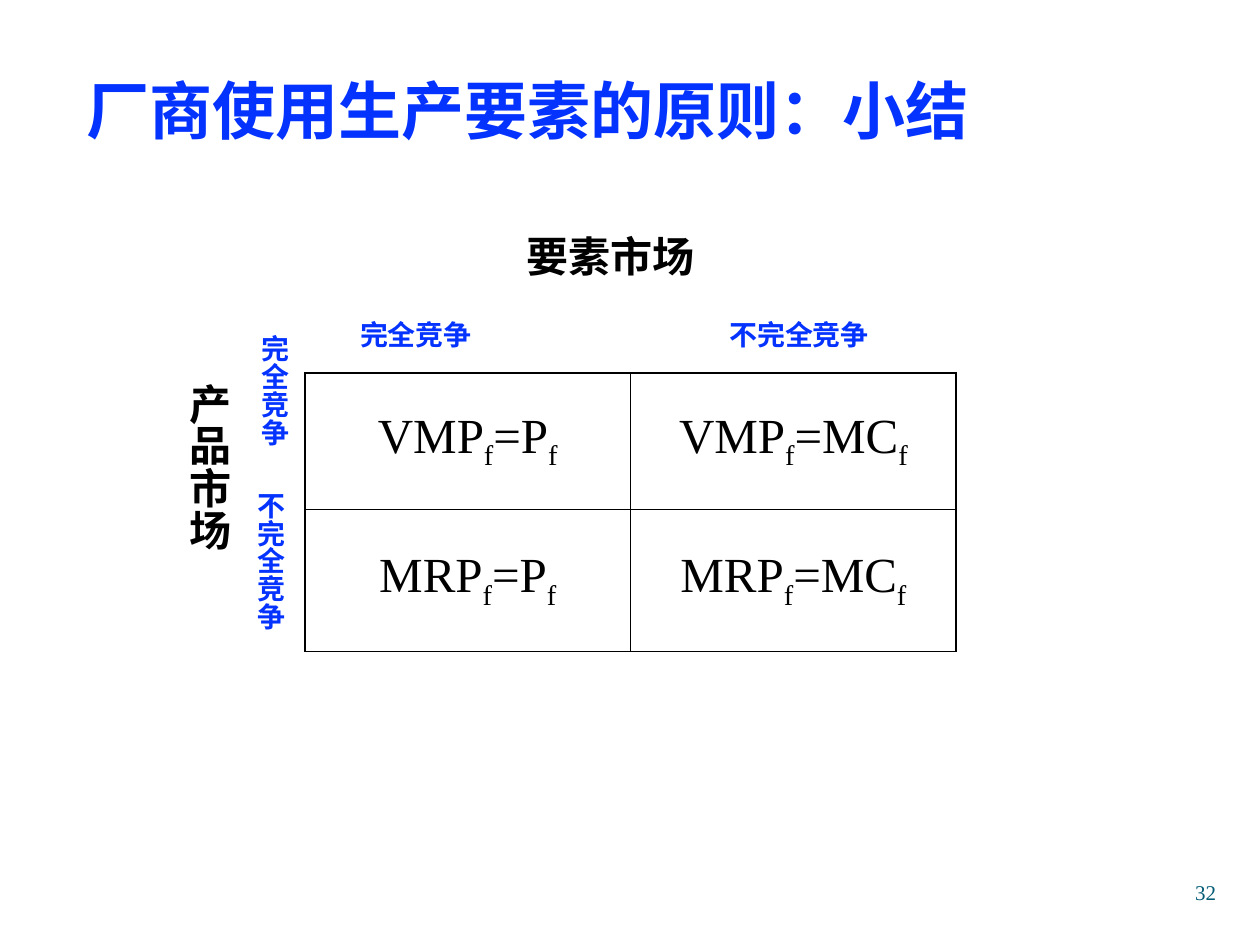
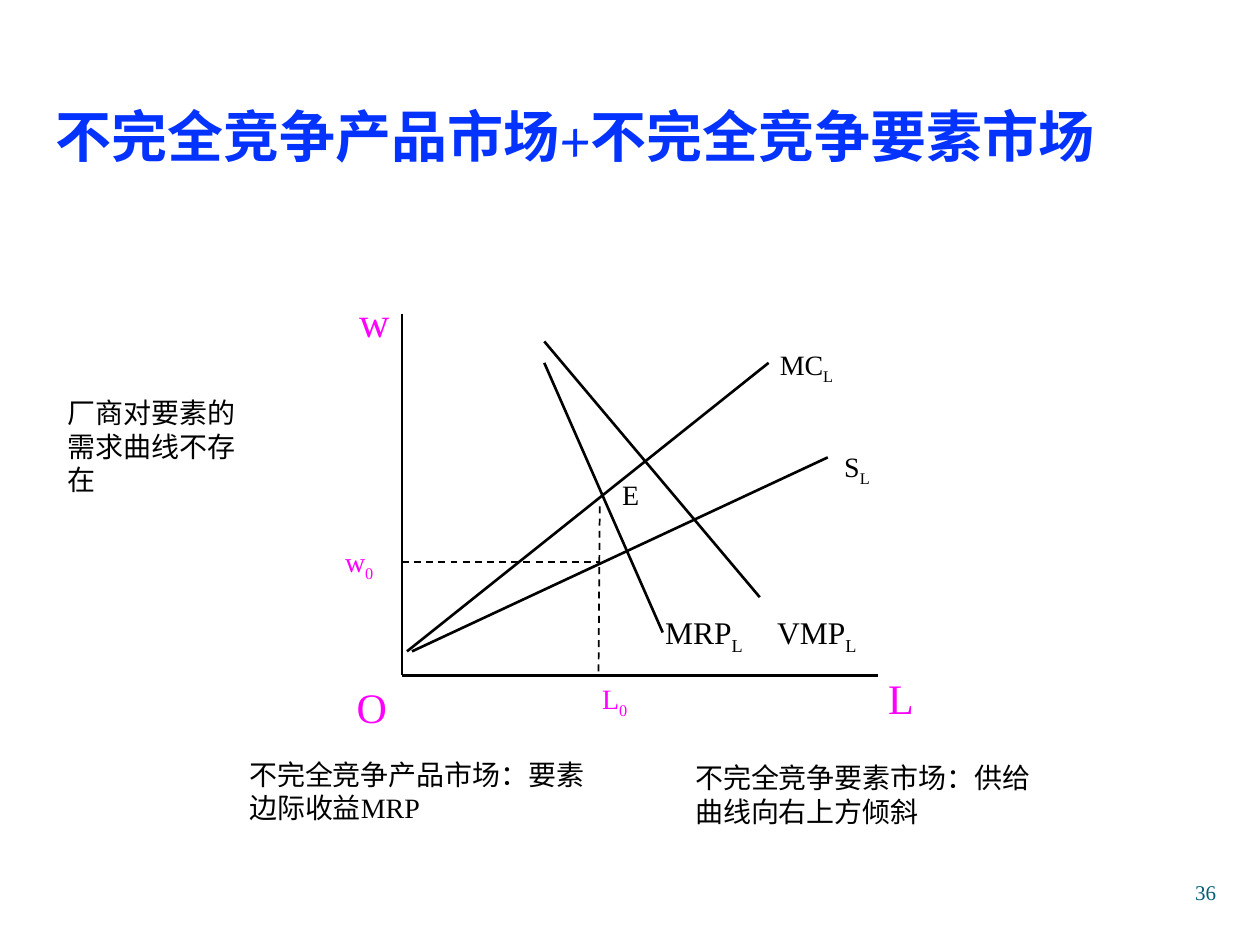
from lxml import etree
from pptx import Presentation, util as u
from pptx.dml.color import RGBColor
from pptx.enum import dml, shapes, text
from pptx.oxml.ns import qn

BLUE = RGBColor(0x04, 0x32, 0xFF)
MAGENTA = RGBColor(0xFF, 0x00, 0xFF)
TEAL = RGBColor(0x04, 0x5C, 0x75)
BLACK = RGBColor(0x00, 0x00, 0x00)
SERIF, SANS = "Times New Roman", "Noto Sans CJK SC"
LEFT, RIGHT, CENTER = text.PP_ALIGN.LEFT, text.PP_ALIGN.RIGHT, text.PP_ALIGN.CENTER
MIDDLE = text.MSO_ANCHOR.MIDDLE
COLS, ROWS = 100, 75  # square grid cells, a tenth of an inch each
OUTER, INNER = 1.08, 0.45


class Deck:
    """Holds the style, the grid and the slide being filled."""

    def __init__(self):
        self.prs = Presentation()
        self.prs.slide_width, self.prs.slide_height = u.Inches(10), u.Inches(7.5)

    def x(self, col):
        return round(self.prs.slide_width * col / COLS)

    def y(self, row):
        return round(self.prs.slide_height * row / ROWS)

    def box(self, at):
        left, top, width, height = at
        return self.x(left), self.y(top), self.x(width), self.y(height)

    def new_slide(self, number):
        self.s = self.prs.slides.add_slide(self.prs.slide_layouts[6])
        self.text((76.7, 68.3, 20.8, 5), number, 12, TEAL, align=RIGHT, anchor=MIDDLE)

    def fill_paragraph(self, p, content, size, color, bold=False, align=LEFT, before=0,
                       font=SERIF):
        """Set text and style; the character after each "_" is a subscript."""
        p.alignment, p.space_before = align, u.Pt(before)
        p.font.size, p.font.bold, p.font.name = u.Pt(size), bold, font
        p.font.color.rgb = color
        etree.SubElement(p.font._element, qn("a:ea"), typeface=SANS)
        base, *tails = content.split("_")
        p.add_run().text = base
        for tail in tails:
            r = p.add_run()
            r.text = tail[0]
            r._r.get_or_add_rPr().set("baseline", "-25000")
            if tail[1:]:
                p.add_run().text = tail[1:]

    def text(self, at, content, size, color=BLACK, anchor=text.MSO_ANCHOR.TOP, **style):
        tf = self.s.shapes.add_textbox(*self.box(at)).text_frame
        tf.word_wrap, tf.vertical_anchor = True, anchor
        self.fill_paragraph(tf.paragraphs[0], content, size, color, **style)
        return tf

    def title(self, at, content, size, **style):
        return self.text(at, content, size, BLUE, bold=True, **style)

    def vertical(self, at, content, size, color):
        tf = self.text(at, content, size, color, bold=True, align=RIGHT)
        tf.margin_left = tf.margin_right = u.Inches(0.05)
        tf.margin_top = tf.margin_bottom = u.Inches(0.1)
        tf._txBody.bodyPr.set("vert", "eaVert")

    def line(self, start, end, dashed=False):
        sp = self.s.shapes.add_connector(
            shapes.MSO_CONNECTOR.STRAIGHT,
            self.x(start[0]), self.y(start[1]), self.x(end[0]), self.y(end[1]))
        sp.line.color.rgb = BLACK
        sp.line.width = u.Pt(1 if dashed else 1.5)
        if dashed:
            sp.line.dash_style = dml.MSO_LINE.DASH
        etree.SubElement(sp._element.spPr, qn("a:effectLst"))

    def border(self, cell, side, width):
        ln = etree.SubElement(cell._tc.get_or_add_tcPr(), qn("a:ln" + side), w=str(u.Pt(width)))
        fill = etree.SubElement(ln, qn("a:solidFill"))
        etree.SubElement(fill, qn("a:srgbClr"), val=str(BLACK))

    def table(self, at, rows, heights, size):
        n_rows, n_cols = len(rows), len(rows[0])
        table = self.s.shapes.add_table(n_rows, n_cols, *self.box(at)).table
        table.first_row = table.horz_banding = False
        for i, row in enumerate(rows):
            table.rows[i].height = self.y(heights[i])
            for j, content in enumerate(row):
                cell = table.cell(i, j)
                cell.vertical_anchor = MIDDLE
                self.fill_paragraph(cell.text_frame.paragraphs[0], content, size, BLACK,
                                    align=CENTER, before=7)
                edges = {"L": j == 0, "R": j == n_cols - 1, "T": i == 0, "B": i == n_rows - 1}
                for side, outer in edges.items():
                    self.border(cell, side, OUTER if outer else INNER)
                cell.fill.background()


def summary(deck):
    deck.new_slide("32")
    tf = deck.title((5.9, 5.7, 85, 6.7), "厂商使用生产要素的原则：小结", 36, anchor=MIDDLE, font=SANS)
    tf.paragraphs[0].line_spacing = 0.9
    deck.table((24.2, 29.6, 51.7, 22.1),
               [("VMP_f=P_f", "VMP_f=MC_f"), ("MRP_f=P_f", "MRP_f=MC_f")],
               (10.8, 11.3), 28)
    deck.text((40.8, 17.8, 18.4, 5), "要素市场", 24, bold=True, before=15)
    for left, width, market in ((27.6, 18.4, "完全竞争"), (56.9, 13.4, "不完全竞争")):
        deck.text((left, 24.7, width, 3.7), market, 16, BLUE, bold=True, before=10)
    deck.vertical((13.1, 29.4, 6, 17.3), "产品市场", 24, BLACK)
    deck.vertical((19, 25.6, 4.6, 12.4), "完全竞争", 16, BLUE)
    deck.vertical((18.7, 38, 4.6, 13.9), "不完全竞争", 16, BLUE)


def imperfect_markets(deck):
    deck.new_slide("36")
    deck.title((3.4, 7.6, 90, 8), "不完全竞争产品市场+不完全竞争要素市场", 32,
               before=8, font="Vollkorn")

    origin, wage, labour = (31.9, 53.6), 44.6, 47.6
    axes = [((31.9, 24.9), origin), (origin, (69.7, 53.6))]
    supply = ((32.7, 51.7), (65.7, 36.3))
    marginal_cost = ((32.3, 51.7), (61, 28.8))
    vmp = ((43.2, 27.1), (60.3, 47.4))
    mrp = ((43.2, 28.8), (52.6, 50.2))
    for start, end in (*axes, supply, marginal_cost, vmp, mrp):
        deck.line(start, end)
    deck.line((labour, 40.2), (47.5, origin[1]), dashed=True)
    deck.line((origin[0], wage), (labour, wage), dashed=True)

    for left, top, name in ((27.2, 23, "w"), (68.8, 52.9, "L"), (27, 53.6, "O")):
        deck.text((left, top, 4.7, 5), name, 24, MAGENTA, align=RIGHT)
    for left, top, name in ((26.4, 42.7, "w_0"), (46.8, 53.6, "L_0")):
        deck.text((left, top, 6, 4.1), name, 16, MAGENTA)
    deck.text((48.4, 37.4, 4.7, 3.7), "E", 16)
    deck.text((64.2, 35.2, 5.8, 4.1), "S_L", 16, align=RIGHT)
    deck.text((60.9, 27.1, 7.9, 4.1), "MC_L", 16)
    for left, name in ((51.8, "MRP_L"), (60.7, "VMP_L")):
        deck.text((left, 48.2, 10.5, 4.4), name, 18)

    deck.text((18.8, 59.6, 30.7, 6.4), "不完全竞争产品市场：要素边际收益MRP", 16)
    deck.text((54.2, 59.9, 30.7, 6.4), "不完全竞争要素市场：供给曲线向右上方倾斜", 16)
    deck.text((4.4, 30.9, 16.6, 9), "厂商对要素的需求曲线不存在", 16)


def main():
    deck = Deck()
    summary(deck)
    imperfect_markets(deck)
    deck.prs.save("out.pptx")


if __name__ == "__main__":
    main()
